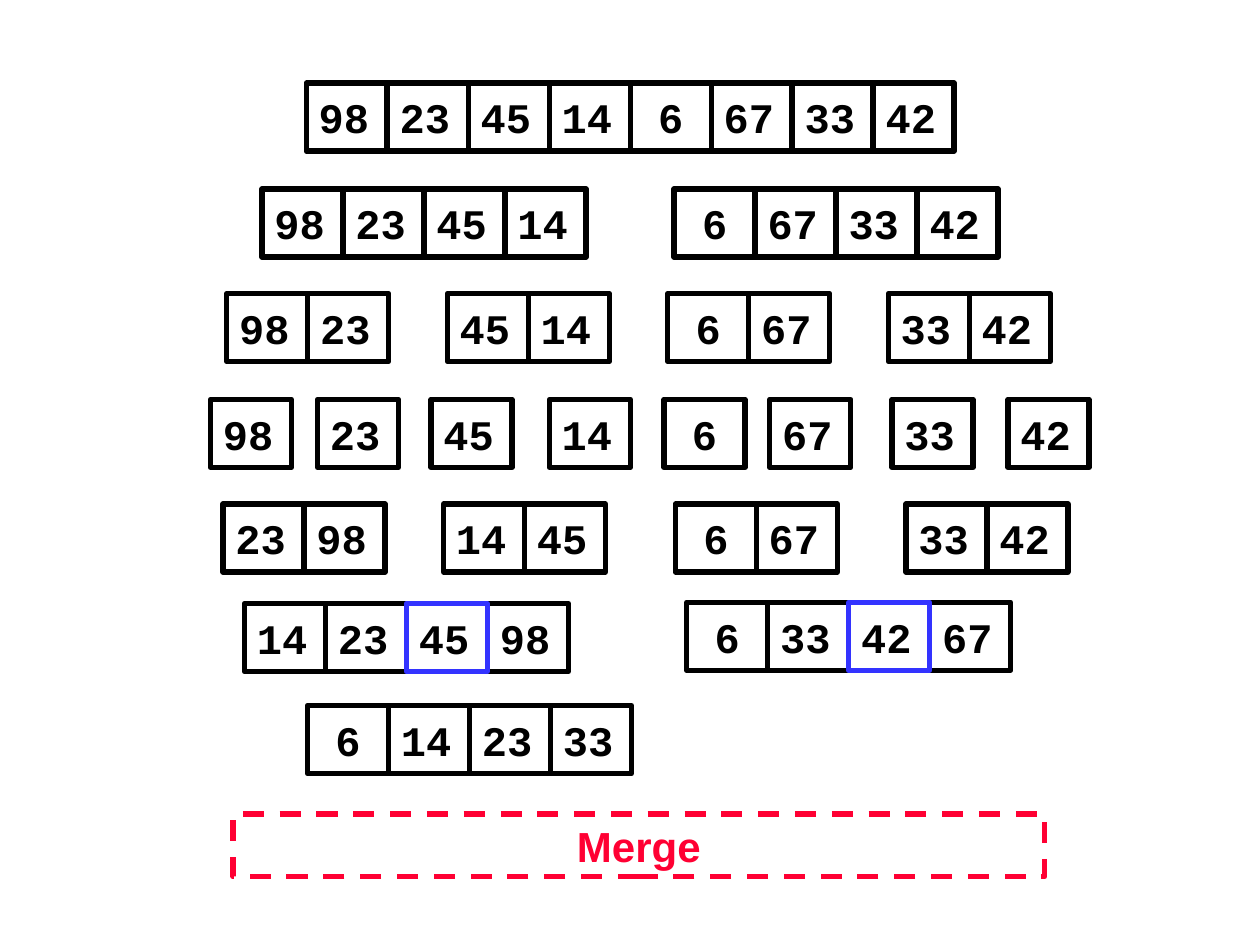
from dataclasses import dataclass

import pptx
import pptx.dml.color
import pptx.enum.dml
import pptx.enum.shapes
import pptx.enum.text
import pptx.util

Inches = pptx.util.Inches
Pt = pptx.util.Pt
RGB = pptx.dml.color.RGBColor
ALIGN = pptx.enum.text.PP_ALIGN


@dataclass(frozen=True)
class Theme:
    ink: RGB = RGB(0x00, 0x00, 0x00)
    compared: RGB = RGB(0x33, 0x33, 0xFF)
    phase: RGB = RGB(0xFF, 0x00, 0x33)
    number_font: str = "Courier New"
    label_font: str = "Arial"
    size: Pt = Pt(24)
    line: Pt = Pt(3)


THEME = Theme()
CELL_W = Inches(4.5 / 7)
CELL_H = Inches(0.54)

ROWS = [
    (0.66, [(2.43, [98, 23, 45, 14, 6, 67, 33, 42])]),
    (1.5, [(2.08, [98, 23, 45, 14]), (5.35, [6, 67, 33, 42])]),
    (2.33, [(1.8, [98, 23]), (3.55, [45, 14]), (5.3, [6, 67]), (7.05, [33, 42])]),
    (3.17, [(1.67, [98]), (2.52, [23]), (3.42, [45]), (4.36, [14]),
            (5.27, [6]), (6.11, [67]), (7.08, [33]), (8, [42])]),
    (4, [(1.77, [23, 98]), (3.52, [14, 45]), (5.36, [6, 67]), (7.19, [33, 42])]),
    (5.6, [(2.44, [6, 14, 23, 33])]),
]
MERGING = [
    (1.94, 4.79, [14, 23, 45, 98], 45),
    (5.45, 4.78, [6, 33, 42, 67], 42),
]


def add_box(slide, left, top, width, height, text, line_color, text_color, font, align):
    sp = slide.shapes.add_shape(
        pptx.enum.shapes.MSO_SHAPE.RECTANGLE, left, top, width, height)
    sp.shadow.inherit = False
    sp.fill.background()
    sp.line.color.rgb = line_color
    sp.line.width = THEME.line
    tf = sp.text_frame
    tf.vertical_anchor = pptx.enum.text.MSO_ANCHOR.MIDDLE
    p = tf.paragraphs[0]
    p.text = text
    p.alignment = align
    p.font.name = font
    p.font.size = THEME.size
    p.font.bold = True
    p.font.color.rgb = text_color
    return sp


def add_array(slide, left, top, numbers, compared=None):
    cells = list(enumerate(numbers))
    for i, number in sorted(cells, key=lambda cell: cell[1] == compared):
        sp = add_box(
            slide, left + i * CELL_W, top, CELL_W, CELL_H, str(number),
            THEME.compared if number == compared else THEME.ink,
            THEME.ink, THEME.number_font,
            ALIGN.CENTER if number < 10 else ALIGN.LEFT)
        sp.text_frame.word_wrap = False


def add_phase(slide, left, top, width, height, text):
    sp = add_box(slide, left, top, width, height, text,
                 THEME.phase, THEME.phase, THEME.label_font, ALIGN.CENTER)
    sp.line.dash_style = pptx.enum.dml.MSO_LINE.DASH
    sp.text_frame.word_wrap = True


def main():
    prs = pptx.Presentation()
    prs.slide_width = Inches(10)
    prs.slide_height = Inches(7.5)
    slide = prs.slides.add_slide(prs.slide_layouts[6])
    for top, arrays in ROWS:
        for left, numbers in arrays:
            add_array(slide, Inches(left), Inches(top), numbers)
    for left, top, numbers, compared in MERGING:
        add_array(slide, Inches(left), Inches(top), numbers, compared)
    add_phase(slide, Inches(1.85), Inches(6.46), Inches(6.44), Inches(0.5), "Merge")
    prs.save("out.pptx")


if __name__ == "__main__":
    main()
